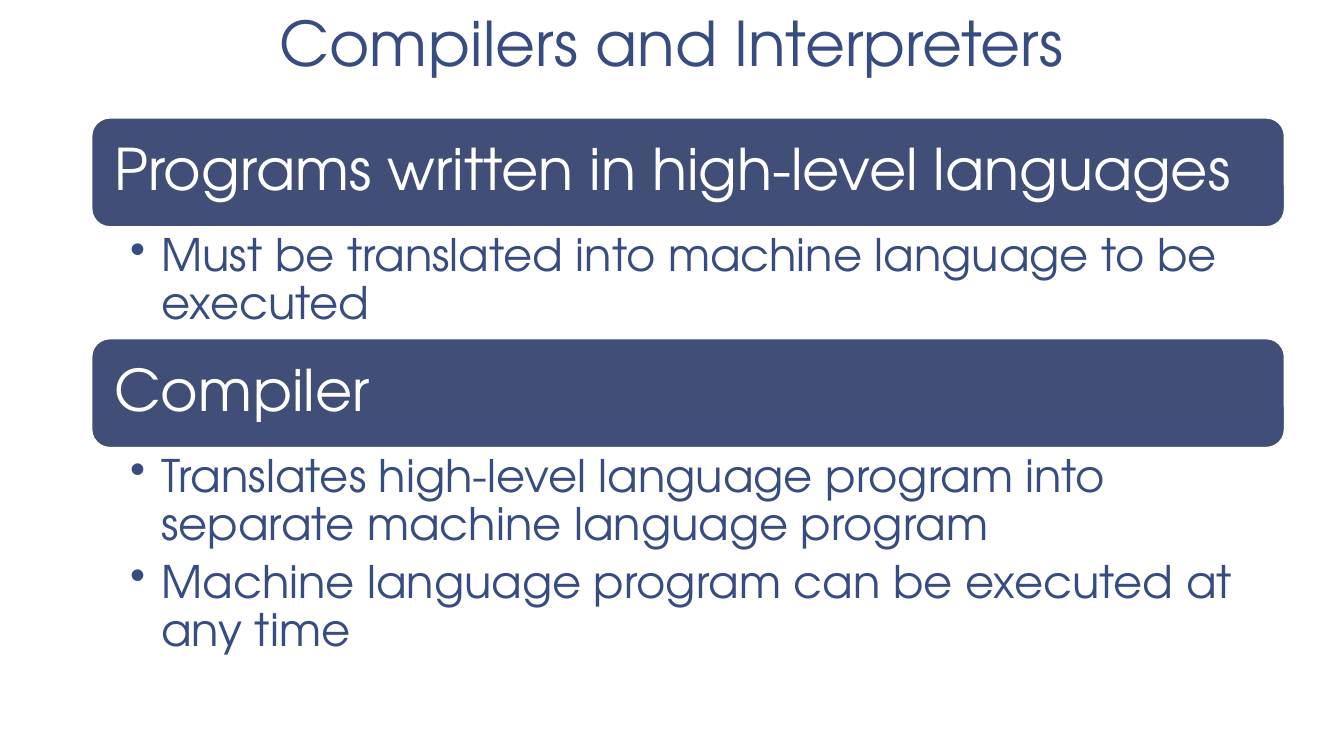
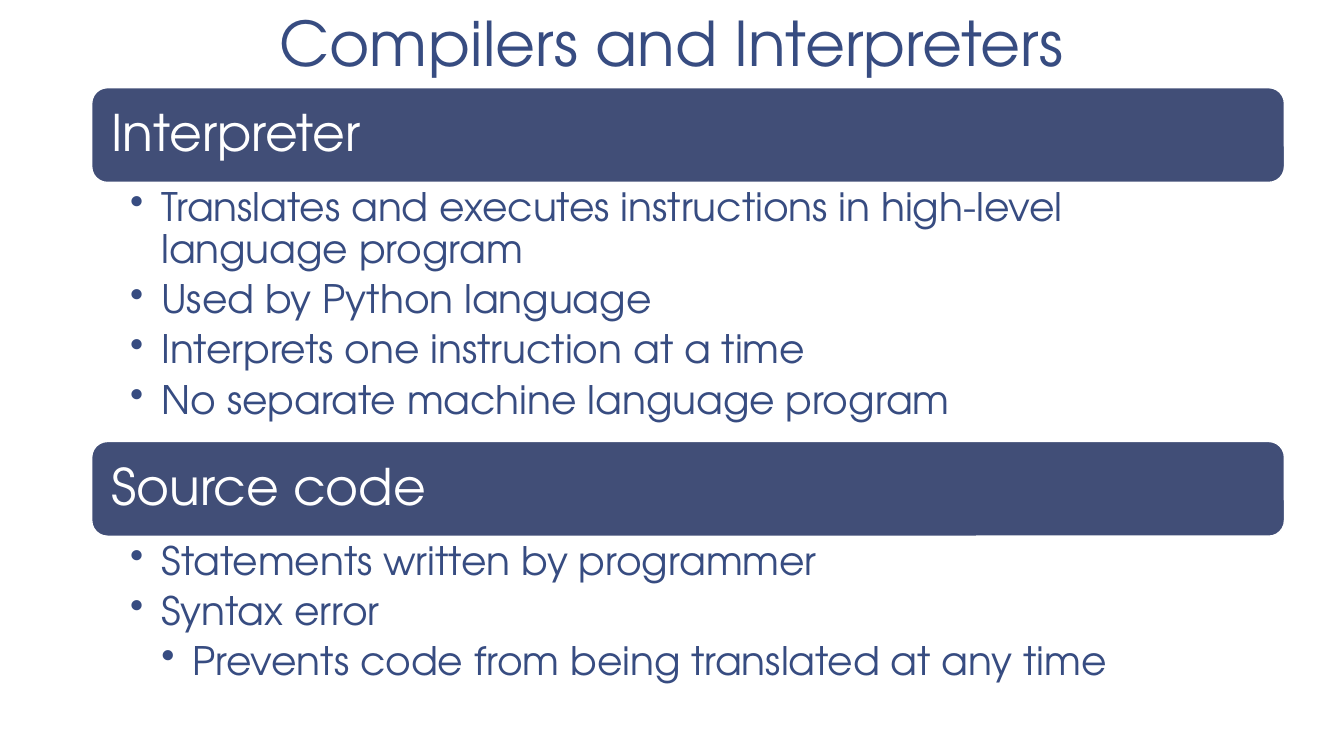
from lxml import etree
from pptx import Presentation
from pptx.dml.color import RGBColor
from pptx.enum.shapes import MSO_SHAPE
from pptx.enum.text import MSO_ANCHOR, PP_ALIGN
from pptx.oxml.ns import qn
from pptx.util import Inches, Pt

ROUNDED = MSO_SHAPE.ROUNDED_RECTANGLE
TOP, MIDDLE, BOTTOM = MSO_ANCHOR.TOP, MSO_ANCHOR.MIDDLE, MSO_ANCHOR.BOTTOM
LEFT, CENTER = PP_ALIGN.LEFT, PP_ALIGN.CENTER

INK = RGBColor(0x37, 0x4C, 0x81)
BAND = RGBColor(0x41, 0x4E, 0x77)
WHITE = RGBColor(0xFF, 0xFF, 0xFF)
FONT = "TeX Gyre Adventor"

SLIDE_WIDTH, SLIDE_HEIGHT = 13.33, 7.5
TITLE_HEIGHT, TITLE_SIZE = 0.86, 44
BAND_LEFT, BAND_WIDTH = 0.91, 11.83
INDENT = 0.31

# Each section: heading, height of its bullet area, bullets as (depth, text)
SLIDES = [
    {
        "title": "Compilers and Interpreters",
        "top": 1.17, "band_height": 1.08,
        "heading_size": 41, "heading_inset": 0.17,
        "bullet_size": 32, "bullet_insets": (0.38, 0.06, 0.32, 0.06),
        "sections": [
            ("Programs written in high-level languages", 1.11, [
                (1, "Must be translated into machine language to be executed"),
            ]),
            ("Compiler", 2.23, [
                (1, "Translates high-level language program into separate machine language program"),
                (1, "Machine language program can be executed at any time"),
            ]),
        ],
    },
    {
        "title": "Compilers and Interpreters",
        "top": 0.87, "band_height": 0.94,
        "heading_size": 36, "heading_inset": 0.15,
        "bullet_size": 28, "bullet_insets": (0.38, 0.05, 0.28, 0.05),
        "sections": [
            ("Interpreter", 2.57, [
                (1, "Translates and executes instructions in high-level language program"),
                (1, "Used by Python language"),
                (1, "Interprets one instruction at a time"),
                (1, "No separate machine language program"),
            ]),
            ("Source code", 1.63, [
                (1, "Statements written by programmer"),
                (1, "Syntax error"),
                (2, "Prevents code from being translated at any time"),
            ]),
        ],
    },
]


def set_attributes(target, values):
    for name, value in values.items():
        setattr(target, name, value)


def write_text(shape, lines, size, color, insets, anchor,
               alignment=LEFT, line_spacing=0.9, space_share=0):
    """Fill a shape with (depth, text) lines; depth 0 has no bullet."""
    frame = shape.text_frame
    left, top, right, bottom = map(Inches, insets)
    set_attributes(frame, {
        "word_wrap": True, "vertical_anchor": anchor,
        "margin_left": left, "margin_top": top,
        "margin_right": right, "margin_bottom": bottom,
    })
    for index, (depth, text) in enumerate(lines):
        paragraph = frame.add_paragraph() if index else frame.paragraphs[0]
        set_attributes(paragraph, {
            "alignment": alignment, "line_spacing": line_spacing,
            "space_after": Pt(size * space_share), "level": depth,
        })
        run = paragraph.add_run()
        run.text = text
        set_attributes(run.font, {"name": FONT, "size": Pt(size)})
        run.font.color.rgb = color
        if depth:
            add_bullet(paragraph, depth)


def add_bullet(paragraph, depth):
    properties = paragraph._p.get_or_add_pPr()
    properties.set("marL", str(Inches(INDENT * depth)))
    properties.set("indent", str(-Inches(INDENT)))
    etree.SubElement(properties, qn("a:buChar")).set("char", "•")


def add_title(slide, title):
    box = slide.shapes.add_textbox(0, 0, Inches(SLIDE_WIDTH), Inches(TITLE_HEIGHT))
    write_text(box, [(0, title)], TITLE_SIZE, INK, (0.13, 0.07, 0.13, 0.07),
               BOTTOM, CENTER, 0.85)


def add_band(slide, top, heading, layout):
    band = slide.shapes.add_shape(
        ROUNDED, Inches(BAND_LEFT), Inches(top),
        Inches(BAND_WIDTH), Inches(layout["band_height"]))
    band.shadow.inherit = False
    band.fill.solid()
    band.fill.fore_color.rgb = BAND
    band.line.color.rgb = WHITE
    band.line.width = Pt(1)
    write_text(band, [(0, heading)], layout["heading_size"], WHITE,
               [layout["heading_inset"]] * 4, MIDDLE)


def add_bullets(slide, top, height, bullets, layout):
    box = slide.shapes.add_textbox(
        Inches(BAND_LEFT), Inches(top), Inches(BAND_WIDTH), Inches(height))
    write_text(box, bullets, layout["bullet_size"], INK,
               layout["bullet_insets"], TOP, space_share=0.2)


def main():
    presentation = Presentation()
    presentation.slide_width = Inches(SLIDE_WIDTH)
    presentation.slide_height = Inches(SLIDE_HEIGHT)
    blank = presentation.slide_layouts[6]
    for layout in SLIDES:
        slide = presentation.slides.add_slide(blank)
        add_title(slide, layout["title"])
        top = layout["top"]
        for heading, height, bullets in layout["sections"]:
            add_band(slide, top, heading, layout)
            top += layout["band_height"]
            add_bullets(slide, top, height, bullets, layout)
            top += height
    presentation.save("out.pptx")


if __name__ == "__main__":
    main()
